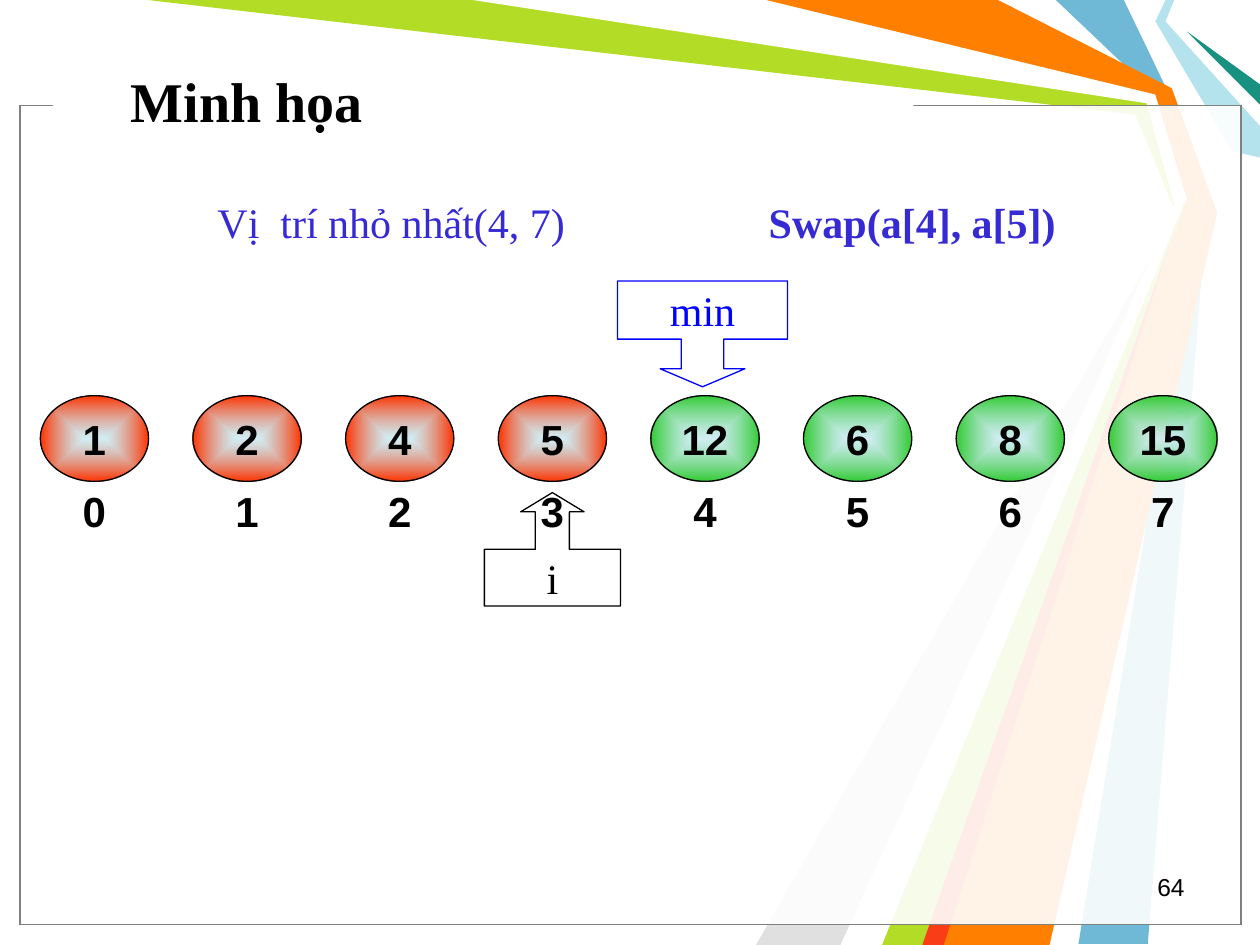
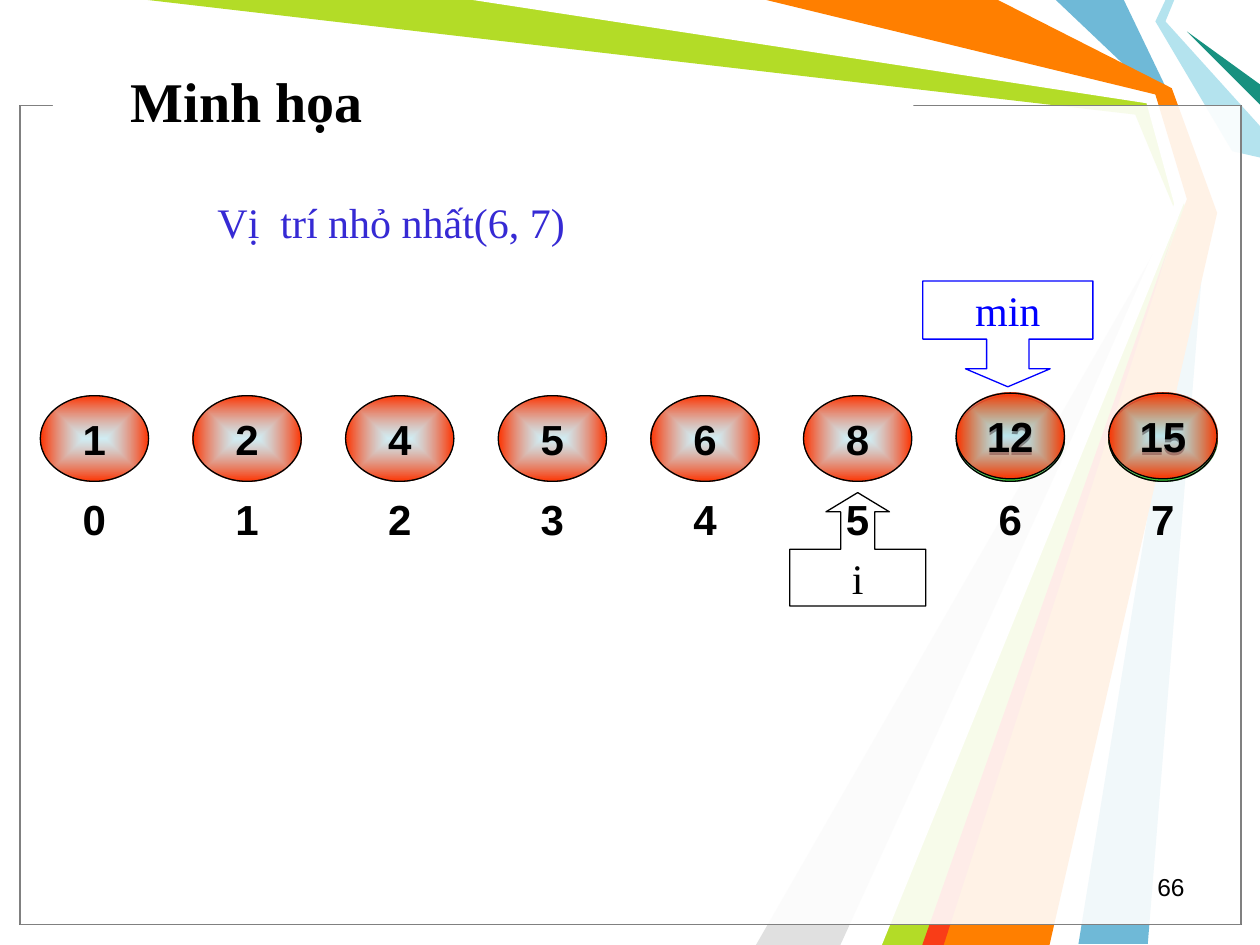
"""Build two slides that illustrate selection sort on an array of eight numbers."""
from lxml import etree
from pptx import Presentation
from pptx.dml.color import RGBColor
from pptx.enum.shapes import MSO_SHAPE
from pptx.enum.text import MSO_ANCHOR, PP_ALIGN
from pptx.oxml import parse_xml
from pptx.oxml.ns import nsdecls, qn
from pptx.util import Inches, Pt

OVAL, RECT = MSO_SHAPE.OVAL, MSO_SHAPE.RECTANGLE
UP, DOWN = MSO_SHAPE.UP_ARROW_CALLOUT, MSO_SHAPE.DOWN_ARROW_CALLOUT
LEFT, MID, RIGHT = PP_ALIGN.LEFT, PP_ALIGN.CENTER, PP_ALIGN.RIGHT
CENTER = MSO_ANCHOR.MIDDLE

COLS, ROWS = 100, 75
CELL = Inches(0.1)
FIRST, PITCH = 3.2, 84.8 / 7
WIDE, HIGH = 8.6, 6.8
SANS, SERIF = "Arial", "Times New Roman"
BLACK, WHITE, GREY = "000000", "FFFFFF", "808080"
BLUE, VIOLET = "0000FF", "362AD4"
RED, GREEN, PALE = "FF3300", "33CC33", "B4E3EE"

RAYS = [
    ("6FB9D7", [(89.2, 0), (92.9, 7.7), (95.8, 16.7), (91.1, 74.9),
                (85.6, 74.9), (95, 16.7), (91.7, 7.5), (83.8, 0)]),
    ("B3DC27", [(11.7, 0), (38.3, 0), (91.4, 7.8), (94.2, 16.9),
                (74.2, 75), (69.2, 75), (93.5, 17.3), (90.1, 9.1)]),
    ("E0E0E0", [(66.7, 75), (92.7, 18.1), (60, 75)]),
    (WHITE, [(37.5, 0), (91, 8.2), (93.2, 16.2), (67.5, 75), (70, 75),
             (94.1, 15.8), (91.7, 7.5), (60, 0)]),
    (PALE, [(92.5, 0), (91.7, 1.7), (97.8, 12), (100, 12.5),
            (100, 10), (92.5, 1.7), (93.2, 0)]),
    ("189180", [(100, 8.3), (94.2, 2.5), (100, 6.7)]),
    ("FF7F00", [(60.8, 0), (79.2, 0), (93, 7), (96.6, 16.9), (83.3, 75),
                (73.3, 75), (94.2, 15.8), (91.7, 7.5)]),
    ("F93D17", [(73.2, 75), (93.2, 18.3), (74.9, 75)]),
]


def tint(hue):
    """Turn a hex string into a colour."""
    return RGBColor.from_string(hue)


def col(i):
    """Give the left edge of the array's column i."""
    return FIRST + PITCH * i


class Deck:
    """Hold the style and the current slide, and draw each kind of element."""

    def __init__(self):
        """Start an empty deck of the right size."""
        self.prs = Presentation()
        self.prs.slide_width = COLS * CELL
        self.prs.slide_height = ROWS * CELL
        self.slide = None

    def page(self, title, num):
        """Add a slide with the shared rays, frame, title and number."""
        self.slide = self.prs.slides.add_slide(self.prs.slide_layouts[6])
        for hue, pts in RAYS:
            self.ray(hue, pts)
        for edge in (BLACK, GREY):
            self.shape(RECT, 1.6, 8.4, 96.9, 65, WHITE, edge, 69)
        self.shape(RECT, 4.2, 7.4, 68.3, 1.7, WHITE)
        self.label(title, 9.4, 1.7, 68.9, 12.5, 32, SERIF, True, LEFT)
        self.label(num, 71.7, 68.7, 23.3, 3.3, 14, SANS, False, RIGHT)

    def paint(self, shp, fill, edge):
        """Set a shape's fill and line, and drop its shadow."""
        shp.shadow.inherit = False
        if fill:
            shp.fill.solid()
            shp.fill.fore_color.rgb = tint(fill)
        else:
            shp.fill.background()
        if edge:
            shp.line.color.rgb = tint(edge)
            shp.line.width = Pt(0.75)
        else:
            shp.line.fill.background()

    def ray(self, hue, pts):
        """Draw a closed outline."""
        pts = [(round(x * 10), round(y * 10)) for x, y in pts]
        pen = self.slide.shapes.build_freeform(*pts[0], scale=CELL / 10)
        pen.add_line_segments(pts[1:], close=True)
        self.paint(pen.convert_to_shape(), hue, None)

    def shape(self, kind, x, y, w, h, fill=None, edge=None, alpha=None):
        """Draw a preset shape, see-through if alpha is given."""
        box = [round(n * CELL) for n in (x, y, w, h)]
        shp = self.slide.shapes.add_shape(kind, *box)
        self.paint(shp, fill, edge)
        if alpha:
            clr = shp.element.spPr.find(qn("a:solidFill"))[0]
            etree.SubElement(clr, qn("a:alpha")).set("val", str(alpha * 1000))
        return shp

    def glow(self, shp, hue):
        """Fill a shape with a gradient from a pale centre to its edge."""
        old = shp.element.spPr.find(qn("a:noFill"))
        new = parse_xml(
            f'<a:gradFill {nsdecls("a")} rotWithShape="1"><a:gsLst>'
            f'<a:gs pos="0"><a:srgbClr val="{PALE}"><a:alpha val="60000"/>'
            f'</a:srgbClr></a:gs><a:gs pos="100000"><a:srgbClr val="{hue}"/>'
            '</a:gs></a:gsLst><a:path path="shape"><a:fillToRect l="50000" '
            't="50000" r="50000" b="50000"/></a:path></a:gradFill>')
        old.getparent().replace(old, new)

    def put(self, shp, text, size, face, bold=False, hue=BLACK, align=MID, pad=0):
        """Put one line of text in a shape."""
        frame = shp.text_frame
        frame.text = text
        frame.word_wrap = True
        frame.vertical_anchor = CENTER
        frame.margin_left = frame.margin_right = Inches(pad)
        frame.margin_top = frame.margin_bottom = 0
        par = frame.paragraphs[0]
        par.alignment = align
        for run in par.runs:
            run.font.size, run.font.name = Pt(size), face
            run.font.bold, run.font.color.rgb = bold, tint(hue)

    def label(self, text, x, y, w, h, size, face, bold, align):
        """Add a text box."""
        box = [round(n * CELL) for n in (x, y, w, h)]
        shp = self.slide.shapes.add_textbox(*box)
        self.put(shp, text, size, face, bold, align=align, pad=0.1)

    def note(self, text, x, w, bold=False):
        """Add a remark above the array."""
        shp = self.shape(RECT, x, 15.1, w, 5, WHITE)
        self.put(shp, text, 24, SERIF, bold, VIOLET)

    def ball(self, i, num, hue, y=31.4):
        """Draw one number of the array."""
        shp = self.shape(OVAL, col(i), y, WIDE, HIGH, edge=BLACK)
        self.glow(shp, hue)
        self.put(shp, str(num), 24, SANS, True)

    def index(self, i, y):
        """Set a position under the array."""
        shp = self.shape(OVAL, col(i), y, WIDE, 6.6)
        self.put(shp, str(i), 24, SANS, True)

    def mark(self, kind, text, mid, y, w, h, hue, adj):
        """Draw an arrow callout centred on mid."""
        shp = self.shape(kind, mid - w / 2, y, w, h, edge=hue)
        for k, val in enumerate(adj):
            shp.adjustments[k] = val
        self.put(shp, text, 24, SERIF, hue=hue)

    def array(self, nums, done, i, low, y):
        """Draw the array, its first done numbers sorted, with both marks."""
        for k, num in enumerate(nums):
            self.ball(k, num, RED if k < done else GREEN)
        half = WIDE / 2
        self.mark(UP, "i", col(i) + half, 39.1, 10.8, 9, BLACK,
                  (0.3, 0.28, 0.17, 0.5))
        self.mark(DOWN, "min", col(low) + half - 0.2, 22.3, 13.5, 8.4, BLUE,
                  (0.4, 0.4, 0.17, 0.55))
        for k in range(len(nums)):
            self.index(k, y)


def main():
    """Build both slides and save them."""
    deck = Deck()
    deck.page("Minh họa", "64")
    deck.array([1, 2, 4, 5, 12, 6, 8, 15], 4, 3, 4, 37.2)
    deck.note("Vị  trí nhỏ nhất(4, 7)", 13.9, 34.3)
    deck.note("Swap(a[4], a[5])", 53.9, 37, True)

    deck.page("Minh họa", "66")
    deck.array([1, 2, 4, 5, 6, 8, 12, 15], 6, 5, 6, 37.9)
    deck.note("Vị  trí nhỏ nhất(6, 7)", 13.9, 34.3)
    for k, num in ((6, 12), (7, 15)):
        deck.ball(k, num, RED, 31.2)
    deck.prs.save("out.pptx")


if __name__ == "__main__":
    main()
